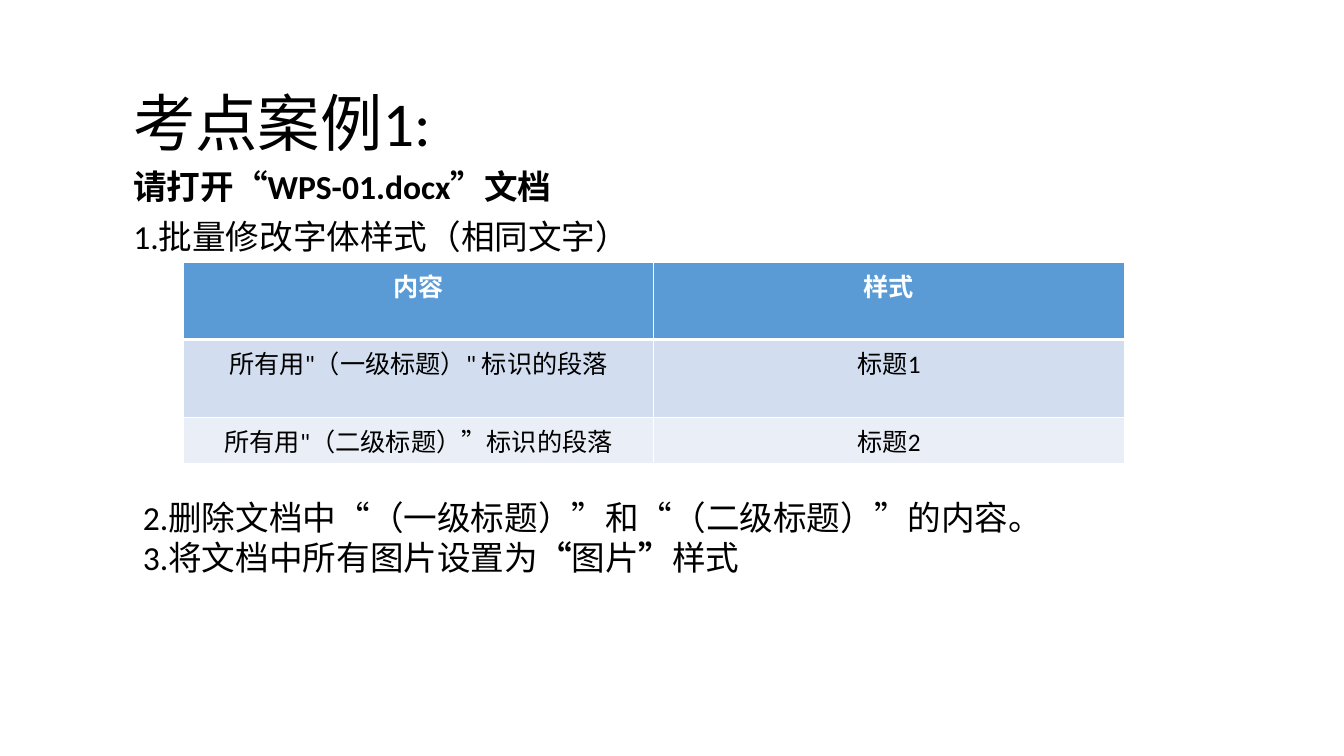
"""Build the slide for exam case 1: batch changes to document styles."""
import lxml.etree
import pptx
import pptx.dml.color
import pptx.enum.text
import pptx.oxml.ns
import pptx.util

Pt = pptx.util.Pt
ALIGN = pptx.enum.text.PP_ALIGN
ANCHOR = pptx.enum.text.MSO_ANCHOR

COLORS = {"text": "000000", "white": "FFFFFF", "header": "5B9BD5",
          "band_dark": "D2DEEF", "band_light": "EAEFF7"}
TITLE = [[("考点案例1:", False)]]
INTRO = [[("请打开“WPS-01.docx”文档", True)],
         [("1.批量修改字体样式（相同文字）", False)]]
STEPS = [[("2.删除文档中“（一级标题）”和“（二级标题）”的内容。", False)],
         [("3.将文档中所有图片设置为", False), ("“", True), ("图片", False),
          ("”", True), ("样式", False)]]
ROWS = [("内容", "样式"),
        ("所有用\"（一级标题）\" 标识的段落", "标题1"),
        ("所有用\"（二级标题）”标识的段落", "标题2")]
ROW_FILLS = ["header", "band_dark", "band_light"]
ROW_HEIGHTS = [55, 55.5, 32.5]
TITLE_BOX = (88, 49.5, 468, 68.5)
INTRO_BOX = (88, 118, 784, 80.5)
TABLE_BOX = (131, 187.5, 672, sum(ROW_HEIGHTS))
STEPS_BOX = (95, 351.5, 696, 94)


def rgb(name):
    return pptx.dml.color.RGBColor.from_string(COLORS[name])


def place(sp, box):
    for name, value in zip(("left", "top", "width", "height"), box):
        setattr(sp, name, Pt(value))


def write(tf, paragraphs, size, color="text", align=ALIGN.LEFT, spacing=1.0, gap=0):
    for i, runs in enumerate(paragraphs):
        p = tf.paragraphs[0] if i == 0 else tf.add_paragraph()
        layout = {"alignment": align, "line_spacing": spacing,
                  "space_before": Pt(gap if i else 0)}
        for name, value in layout.items():
            setattr(p, name, value)
        for text, bold in runs:
            r = p.add_run()
            r.text = text
            for name, value in {"name": "Calibri", "size": Pt(size), "bold": bold}.items():
                setattr(r.font, name, value)
            r.font.color.rgb = rgb(color)


def add_borders(cell, widths):
    qn = pptx.oxml.ns.qn
    tc_pr = cell._tc.get_or_add_tcPr()
    for side, width in widths.items():
        ln = lxml.etree.SubElement(tc_pr, qn(f"a:ln{side}"), w=str(Pt(width)))
        fill = lxml.etree.SubElement(ln, qn("a:solidFill"))
        lxml.etree.SubElement(fill, qn("a:srgbClr"), val=COLORS["white"])


def add_style_table(s):
    table = s.shapes.add_table(len(ROWS), 2, *map(Pt, TABLE_BOX)).table
    for i, texts in enumerate(ROWS):
        table.rows[i].height = Pt(ROW_HEIGHTS[i])
        header = i == 0
        for j, text in enumerate(texts):
            cell = table.cell(i, j)
            add_borders(cell, {"L": 1, "R": 1, "T": 3 if i == 1 else 1,
                               "B": 3 if header else 1})
            cell.fill.solid()
            cell.fill.fore_color.rgb = rgb(ROW_FILLS[i])
            write(cell.text_frame, [[(text, header)]], 18,
                  "white" if header else "text", ALIGN.CENTER)


def main():
    prs = pptx.Presentation()
    prs.slide_width, prs.slide_height = Pt(960), Pt(540)
    s = prs.slides.add_slide(prs.slide_layouts[0])
    title, intro = s.shapes.title, s.placeholders[1]
    add_style_table(s)
    steps = s.shapes.add_textbox(*map(Pt, STEPS_BOX))
    blocks = [(title, TITLE_BOX, TITLE, 44.5, ANCHOR.BOTTOM, 0.9, 0),
              (intro, INTRO_BOX, INTRO, 24, ANCHOR.TOP, 0.9, 10),
              (steps, STEPS_BOX, STEPS, 24, ANCHOR.TOP, 1.0, 0)]
    for sp, box, paragraphs, size, anchor, spacing, gap in blocks:
        place(sp, box)
        tf = sp.text_frame
        frame = {"word_wrap": True, "vertical_anchor": anchor,
                 "auto_size": pptx.enum.text.MSO_AUTO_SIZE.NONE}
        for name, value in frame.items():
            setattr(tf, name, value)
        write(tf, paragraphs, size, spacing=spacing, gap=gap)
    prs.save("out.pptx")


if __name__ == "__main__":
    main()
